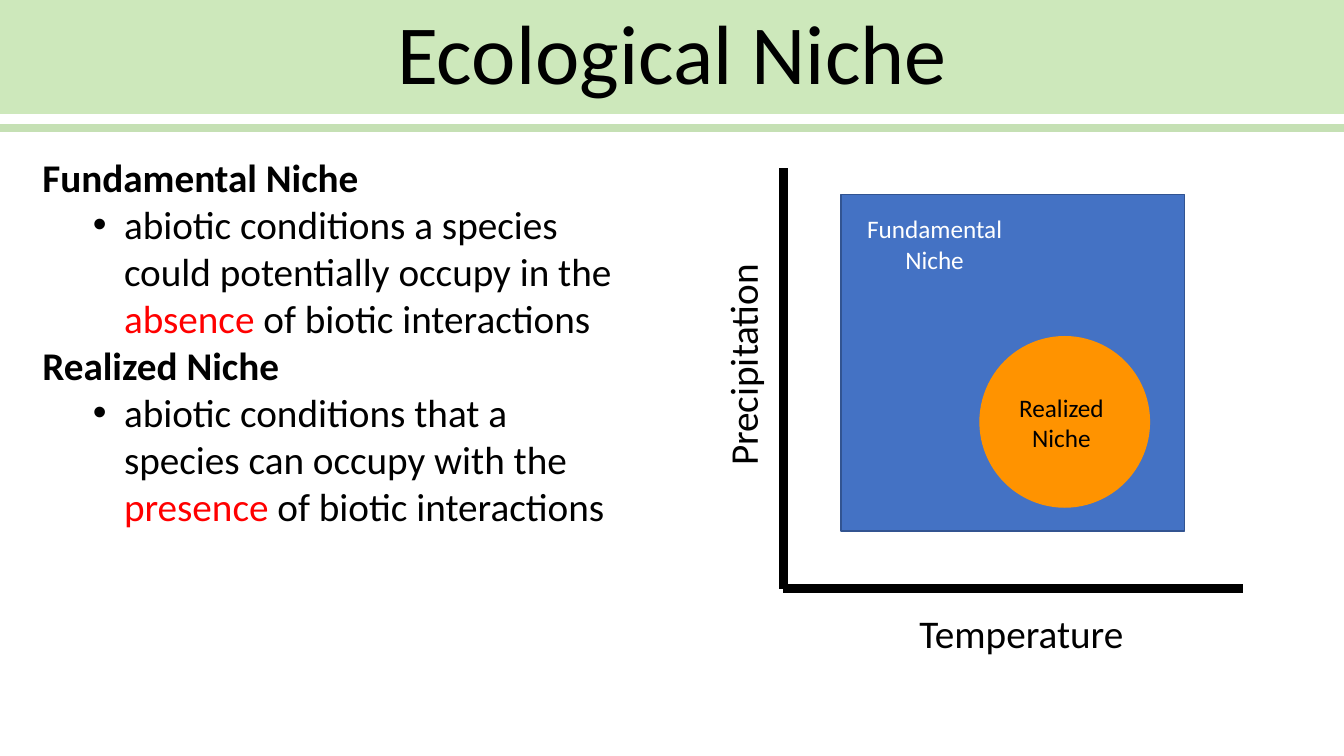
"""Build the Ecological Niche slide: two definitions beside a climate-space diagram."""
from lxml import etree
from pptx import Presentation
from pptx.dml.color import RGBColor
from pptx.enum.shapes import MSO_CONNECTOR, MSO_SHAPE
from pptx.enum.text import MSO_ANCHOR, MSO_AUTO_SIZE, PP_ALIGN
from pptx.oxml.ns import qn
from pptx.util import Inches, Pt

WIDTH, HEIGHT = 13.33, 7.5
FONT = "Calibri"
BLACK, WHITE, RED = "000000", "FFFFFF", "FF0000"
HEADER, RULE = "CDE8BB", "C5E0B4"
LEFT, CENTER = PP_ALIGN.LEFT, PP_ALIGN.CENTER

TITLE = "Ecological Niche"
DEFINITIONS = [
    ("Fundamental Niche",
     ("abiotic conditions a species could potentially occupy in the ",
      "absence", " of biotic interactions")),
    ("Realized Niche",
     ("abiotic conditions that a species can occupy with the ",
      "presence", " of biotic interactions")),
]
ORIGIN_X, ORIGIN_Y = 7.77, 5.84
AXIS_TOP, AXIS_END = 1.67, 12.33
RULE_Y = 1.27
LINES = [
    ((ORIGIN_X, AXIS_TOP), (ORIGIN_X, ORIGIN_Y), BLACK),
    ((ORIGIN_X, ORIGIN_Y), (AXIS_END, ORIGIN_Y), BLACK),
    ((0, RULE_Y), (WIDTH, RULE_Y), RULE),
]
NICHES = [
    (MSO_SHAPE.RECTANGLE, (8.34, 1.93, 3.41, 3.34), "4472C4", "325491"),
    (MSO_SHAPE.OVAL, (9.72, 3.34, 1.68, 1.69), "FF9300", "FF9300"),
]
LABELS = [
    ((9.02, 6, 2.25, 0.57), 0, 28, BLACK, [("Temperature", LEFT)]),
    ((6.25, 3.32, 2.23, 0.57), 270, 28, BLACK, [("Precipitation", LEFT)]),
    ((8.49, 2.07, 1.56, 0.71), 0, 18, WHITE,
     [("Fundamental", CENTER), ("Niche", CENTER)]),
    ((10.01, 3.84, 1.11, 0.71), 0, 18, BLACK,
     [("Realized", LEFT), ("Niche", CENTER)]),
]


def color(value):
    return RGBColor.from_string(value)


def place(shape, box):
    shape.left, shape.top, shape.width, shape.height = map(Inches, box)


def style(font, size, value, bold=False):
    font.name, font.size, font.bold = FONT, Pt(size), bold
    font.color.rgb = color(value)


def set_bullet(paragraph, margin, indent, mark=None):
    properties = paragraph._p.get_or_add_pPr()
    properties.set("marL", str(Inches(margin)))
    properties.set("indent", str(Inches(indent)))
    if mark:
        etree.SubElement(properties, qn("a:buFont")).set("typeface", "Arial")
        etree.SubElement(properties, qn("a:buChar")).set("char", mark)
    else:
        etree.SubElement(properties, qn("a:buNone"))


def add_title(slide):
    title = slide.shapes.title
    place(title, (0, 0, WIDTH, 1.13))
    title.fill.solid()
    title.fill.fore_color.rgb = color(HEADER)
    frame = title.text_frame
    frame.text = TITLE
    frame.auto_size = MSO_AUTO_SIZE.NONE
    frame.vertical_anchor = MSO_ANCHOR.MIDDLE
    heading = frame.paragraphs[0]
    heading.alignment, heading.line_spacing = CENTER, 0.9
    style(heading.runs[0].font, 60, BLACK)


def add_definitions(slide):
    body = slide.placeholders[1]
    place(body, (0.32, 1.47, 6.01, 4.81))
    frame = body.text_frame
    frame.auto_size = MSO_AUTO_SIZE.NONE
    frame.text = "\n".join(line for term, parts in DEFINITIONS for line in (term, ""))
    for index, (term, parts) in enumerate(DEFINITIONS):
        heading, meaning = frame.paragraphs[2 * index:2 * index + 2]
        set_bullet(heading, 0, 0)
        style(heading.runs[0].font, 28, BLACK, True)
        meaning.level = 1
        set_bullet(meaning, 0.81, -0.31, "•")
        for part, value in zip(parts, (BLACK, RED, BLACK)):
            run = meaning.add_run()
            run.text = part
            style(run.font, 28, value)
        for paragraph in (heading, meaning):
            paragraph.space_before = Pt(0)


def add_niche(slide, kind, box, fill, outline):
    niche = slide.shapes.add_shape(kind, *map(Inches, box))
    niche.shadow.inherit = False
    niche.fill.solid()
    niche.fill.fore_color.rgb = color(fill)
    niche.line.color.rgb = color(outline)
    niche.line.width = Pt(1)


def add_line(slide, start, end, value):
    line = slide.shapes.add_connector(MSO_CONNECTOR.STRAIGHT, *map(Inches, start + end))
    line.line.color.rgb = color(value)
    line.line.width = Pt(6)
    etree.SubElement(line._element.spPr, qn("a:effectLst"))


def add_label(slide, box, rotation, size, value, lines):
    label = slide.shapes.add_textbox(*map(Inches, box))
    label.rotation = rotation
    frame = label.text_frame
    frame.word_wrap = False
    frame.text = "\n".join(text for text, _ in lines)
    for paragraph, (_, alignment) in zip(frame.paragraphs, lines):
        paragraph.alignment = alignment
        style(paragraph.runs[0].font, size, value)


def main():
    deck = Presentation()
    deck.slide_width, deck.slide_height = Inches(WIDTH), Inches(HEIGHT)
    slide = deck.slides.add_slide(deck.slide_layouts[1])
    add_title(slide)
    add_definitions(slide)
    for niche in NICHES:
        add_niche(slide, *niche)
    for line in LINES:
        add_line(slide, *line)
    for label in LABELS:
        add_label(slide, *label)
    deck.save("out.pptx")


if __name__ == "__main__":
    main()
